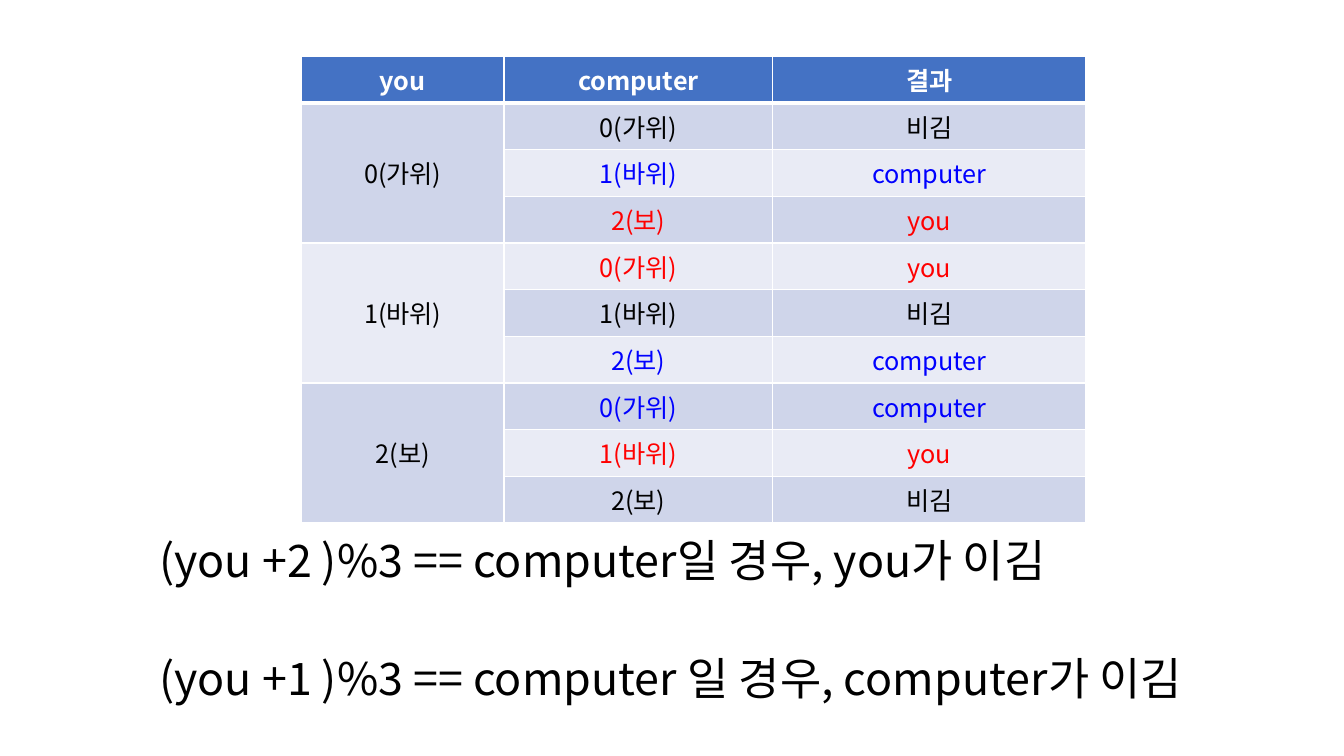
from lxml.etree import SubElement
from pptx import Presentation
from pptx.dml.color import RGBColor
from pptx.enum.text import MSO_ANCHOR, MSO_AUTO_SIZE, PP_ALIGN
from pptx.oxml.ns import qn
from pptx.util import Inches, Pt

FONT = "Noto Sans CJK KR"
WHITE = RGBColor(0xFF, 0xFF, 0xFF)
BLACK = RGBColor(0x00, 0x00, 0x00)
RED = RGBColor(0xFF, 0x00, 0x00)
BLUE = RGBColor(0x00, 0x00, 0xFF)
HEADER = RGBColor(0x44, 0x72, 0xC4)
DARK_BAND = RGBColor(0xCF, 0xD5, 0xEA)
LIGHT_BAND = RGBColor(0xE9, 0xEB, 0xF5)

HEADINGS = ("you", "computer", "결과")
HANDS = ("0(가위)", "1(바위)", "2(보)")
OUTCOMES = (("비김", BLACK), ("you", RED), ("computer", BLUE))
RULES = (
    "(you +2 )%3 == computer일 경우, you가 이김",
    "(you +1 )%3 == computer 일 경우, computer가 이김",
)


class SlideBuilder:
    """Places styled elements on a slide grid of 160 columns by 90 rows."""

    def __init__(self, deck):
        self.column = deck.slide_width / 160
        self.row = deck.slide_height / 90
        self.slide = deck.slides.add_slide(deck.slide_layouts[6])

    def place(self, left, top, width, height):
        return (round(left * self.column), round(top * self.row),
                round(width * self.column), round(height * self.row))

    def put_text(self, paragraph, text, size, color, bold=False):
        paragraph.add_run().text = text
        font = paragraph.font
        font.name, font.size, font.bold = FONT, Pt(size), bold
        font.color.rgb = color
        SubElement(font._element, qn("a:ea"), typeface=FONT)

    def table(self, left, top, widths, row_height, row_count):
        frame = self.slide.shapes.add_table(
            row_count, len(widths),
            *self.place(left, top, sum(widths), row_height * row_count))
        for column, width in zip(frame.table.columns, widths):
            column.width = round(width * self.column)
        return frame.table

    def cell(self, cell, text, color, fill, header=False):
        cell.vertical_anchor = MSO_ANCHOR.MIDDLE
        paragraph = cell.text_frame.paragraphs[0]
        paragraph.alignment = PP_ALIGN.CENTER
        self.put_text(paragraph, text, 18, color, header)
        properties = cell._tc.get_or_add_tcPr()
        for side in "LRTB":
            points = 3 if header and side == "B" else 1
            border = SubElement(properties, qn(f"a:ln{side}"), w=str(Pt(points)))
            solid = SubElement(border, qn("a:solidFill"))
            SubElement(solid, qn("a:srgbClr"), val=str(WHITE))
        cell.fill.solid()
        cell.fill.fore_color.rgb = fill

    def lines(self, left, top, width, height, texts, size, gap):
        frame = self.slide.shapes.add_textbox(
            *self.place(left, top, width, height)).text_frame
        frame.word_wrap = False
        frame.auto_size = MSO_AUTO_SIZE.SHAPE_TO_FIT_TEXT
        for index, text in enumerate(texts):
            paragraph = frame.add_paragraph() if index else frame.paragraphs[0]
            if index:
                paragraph.space_before = Pt(gap)
            self.put_text(paragraph, text, size, BLACK)


def main():
    deck = Presentation()
    deck.slide_width, deck.slide_height = Inches(13.33), Inches(7.5)
    builder = SlideBuilder(deck)

    results = builder.table(35.9, 6.7, (24.1, 32, 37.3), 5.56, 10)
    for column, heading in enumerate(HEADINGS):
        builder.cell(results.cell(0, column), heading, WHITE, HEADER, True)
    for you, your_hand in enumerate(HANDS):
        first = 1 + you * len(HANDS)
        for computer, computer_hand in enumerate(HANDS):
            row = first + computer
            band = DARK_BAND if row % 2 else LIGHT_BAND
            winner, color = OUTCOMES[(you - computer) % 3]
            if row == first:
                your_cell = results.cell(row, 0)
                your_cell.merge(results.cell(row + 2, 0))
                builder.cell(your_cell, your_hand, BLACK, band)
            builder.cell(results.cell(row, 1), computer_hand, color, band)
            builder.cell(results.cell(row, 2), winner, color, band)

    builder.lines(17.8, 62.8, 131.9, 20.6, RULES, 32, 46)
    deck.save("out.pptx")


if __name__ == "__main__":
    main()
